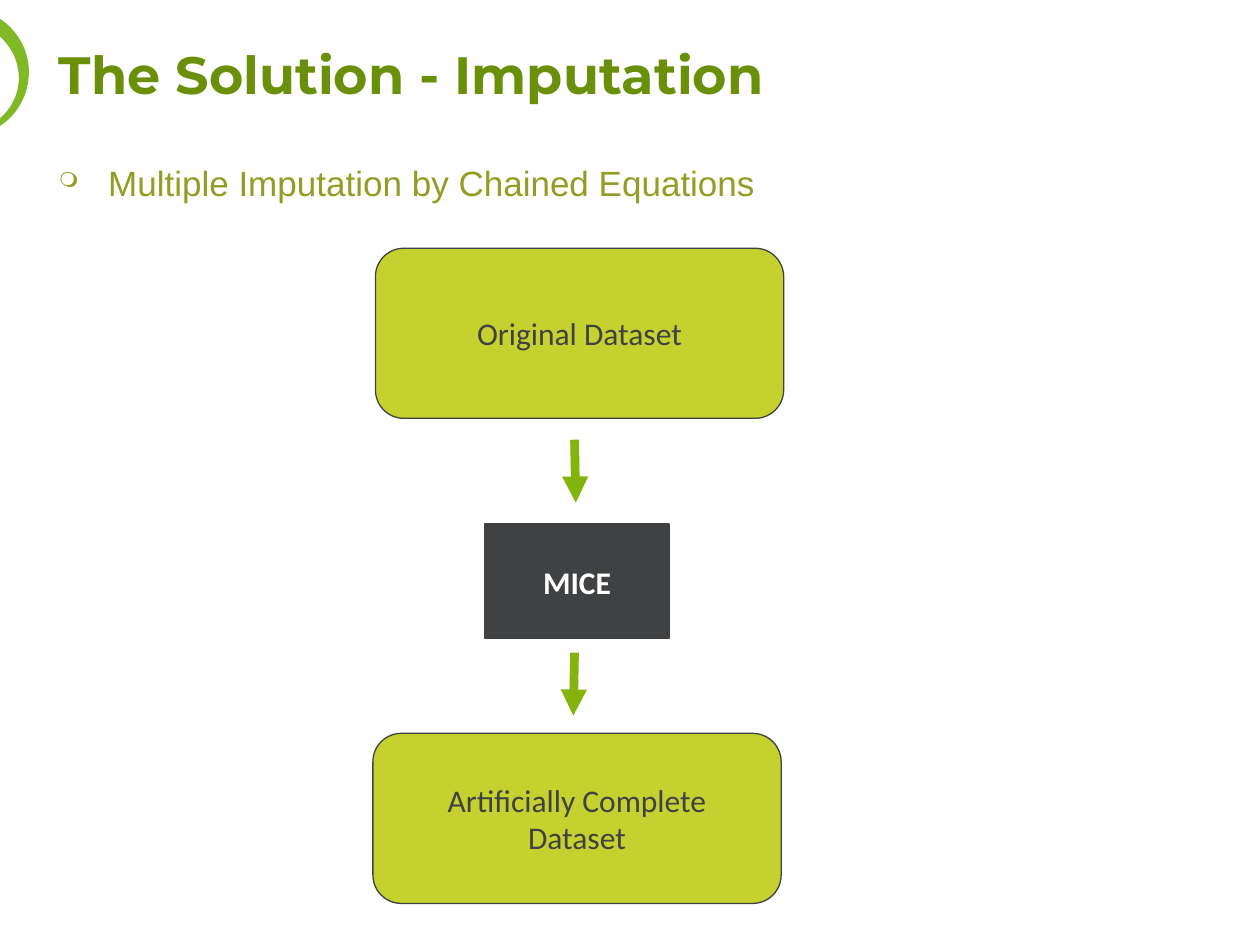
from lxml import etree
from pptx import Presentation
from pptx.dml.color import RGBColor
from pptx.enum.shapes import MSO_CONNECTOR, MSO_SHAPE
from pptx.enum.text import MSO_ANCHOR, PP_ALIGN
from pptx.oxml.ns import qn
from pptx.util import Pt

PX = 9144  # EMU per px, 100 px to the inch

STRAIGHT = MSO_CONNECTOR.STRAIGHT
ROUNDED = MSO_SHAPE.FLOWCHART_ALTERNATE_PROCESS
PLAIN = MSO_SHAPE.FLOWCHART_PROCESS
TOP, MIDDLE, BOTTOM = MSO_ANCHOR.TOP, MSO_ANCHOR.MIDDLE, MSO_ANCHOR.BOTTOM
LEFT, CENTER, JUSTIFY = PP_ALIGN.LEFT, PP_ALIGN.CENTER, PP_ALIGN.JUSTIFY

WHITE = RGBColor(0xFF, 0xFF, 0xFF)
CHARCOAL = RGBColor(0x3F, 0x41, 0x43)
LIME = RGBColor(0xC5, 0xD1, 0x2F)
ARROW_GREEN = RGBColor(0x83, 0xB4, 0x0D)
RING_GREEN = RGBColor(0x80, 0xB8, 0x26)
TITLE_GREEN = RGBColor(0x6A, 0x90, 0x0A)
OLIVE = RGBColor(0x94, 0x9D, 0x23)

TITLE_FONT = {"name": "Montserrat", "size": Pt(30), "bold": True}
BODY_FONT = {"name": "Arial", "size": Pt(20)}
STEP_FONT = {"name": "Calibri", "size": Pt(18)}


def px(*lengths):
    """Lengths in px as a list of EMU."""
    return [round(length * PX) for length in lengths]


def bezier(start, control_1, control_2, end, steps=24):
    """Points along a cubic curve, without its start."""
    points = []
    for step in range(1, steps + 1):
        t = step / steps
        weights = ((1 - t) ** 3, 3 * t * (1 - t) ** 2, 3 * t * t * (1 - t), t ** 3)
        points.append(tuple(
            sum(weight * value for weight, value in zip(weights, axis))
            for axis in zip(start, control_1, control_2, end)))
    return points


class SlideBuilder:
    def __init__(self, deck):
        self.page = deck.slides.add_slide(deck.slide_layouts[6])
        self.shapes = self.page.shapes

    def set_lines(self, frame, lines, font, color, align, anchor, wrap=True):
        frame.word_wrap = wrap
        frame.vertical_anchor = anchor
        for index, line in enumerate(lines):
            para = frame.add_paragraph() if index else frame.paragraphs[0]
            para.alignment = align
            span = para.add_run()
            span.text = line
            for name, value in font.items():
                setattr(span.font, name, value)
            span.font.color.rgb = color

    def text(self, place, line, font, color, align=LEFT, anchor=TOP, **spacing):
        box = self.shapes.add_textbox(*px(*place))
        self.set_lines(box.text_frame, [line], font, color, align, anchor)
        para = box.text_frame.paragraphs[0]
        for name, value in spacing.items():
            setattr(para, name, value)
        return para

    def bullet(self, para, symbol, color, percent, indent):
        props = para._p.get_or_add_pPr()
        width, = px(indent)
        props.set("marL", str(width))
        props.set("indent", str(-width))
        tint = etree.SubElement(props, qn("a:buClr"))
        etree.SubElement(tint, qn("a:srgbClr"), val=str(color))
        etree.SubElement(props, qn("a:buSzPct"), val=str(percent * 1000))
        etree.SubElement(props, qn("a:buChar"), char=symbol)

    def step(self, kind, place, lines, fill, color, bold=False):
        box = self.shapes.add_shape(kind, *px(*place))
        box.shadow.inherit = False
        box.fill.solid()
        box.fill.fore_color.rgb = fill
        box.line.color.rgb = CHARCOAL
        box.line.width = Pt(0.75)
        self.set_lines(box.text_frame, lines, {**STEP_FONT, "bold": bold}, color,
                       CENTER, MIDDLE, wrap=False)

    def arrow(self, start, end):
        arrow = self.shapes.add_connector(STRAIGHT, *px(*start, *end))
        arrow.line.color.rgb = ARROW_GREEN
        arrow.line.width = Pt(5)
        props = arrow._element.spPr
        etree.SubElement(props.get_or_add_ln(), qn("a:tailEnd"), type="triangle")
        etree.SubElement(props, qn("a:effectLst"))

    def outline(self, points, fill):
        first, *rest = [px(*point) for point in points]
        builder = self.shapes.build_freeform(*first)
        builder.add_line_segments(rest, close=True)
        shape = builder.convert_to_shape()
        shape.shadow.inherit = False
        shape.fill.solid()
        shape.fill.fore_color.rgb = fill
        shape.line.fill.background()


def main():
    deck = Presentation()
    deck.slide_width, deck.slide_height = px(1000, 750)
    slide = SlideBuilder(deck)

    ring = [(0, 15),
            *bezier((0, 15), (14, 24), (23, 40), (23, 57)),
            *bezier((23, 57), (23, 75), (14, 91), (0, 100)),
            (0, 94),
            *bezier((0, 94), (9, 86), (15, 75), (15, 62)),
            *bezier((15, 62), (15, 49), (9, 37), (0, 29))]
    slide.outline(ring, RING_GREEN)

    slide.text((37, 12, 854, 77), "The Solution - Imputation", TITLE_FONT,
               TITLE_GREEN, anchor=BOTTOM, line_spacing=0.9)
    method = slide.text((37, 120, 853, 87), "Multiple Imputation by Chained Equations",
                        BODY_FONT, OLIVE, align=JUSTIFY,
                        line_spacing=1.1, space_before=Pt(18))
    slide.bullet(method, "❍", OLIVE, percent=60, indent=39)

    slide.step(ROUNDED, (298, 197, 324, 135), ["Original Dataset"], LIME, CHARCOAL)
    slide.arrow((456, 349), (457, 399))
    slide.arrow((456, 518), (455, 568))
    slide.step(PLAIN, (385, 416, 146, 91), ["MICE"], CHARCOAL, WHITE, bold=True)
    slide.step(ROUNDED, (296, 582, 324, 135), ["Artificially Complete", "Dataset"],
               LIME, CHARCOAL)

    deck.save("out.pptx")


if __name__ == "__main__":
    main()
